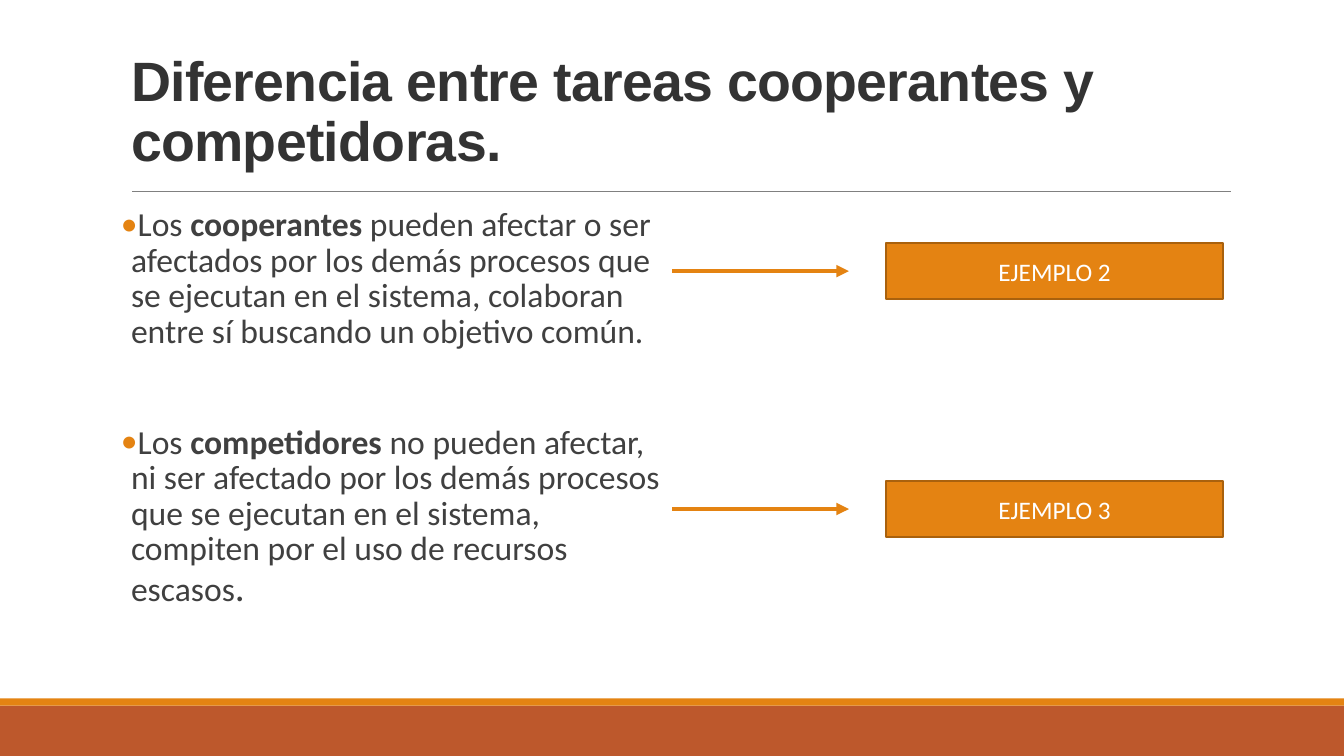
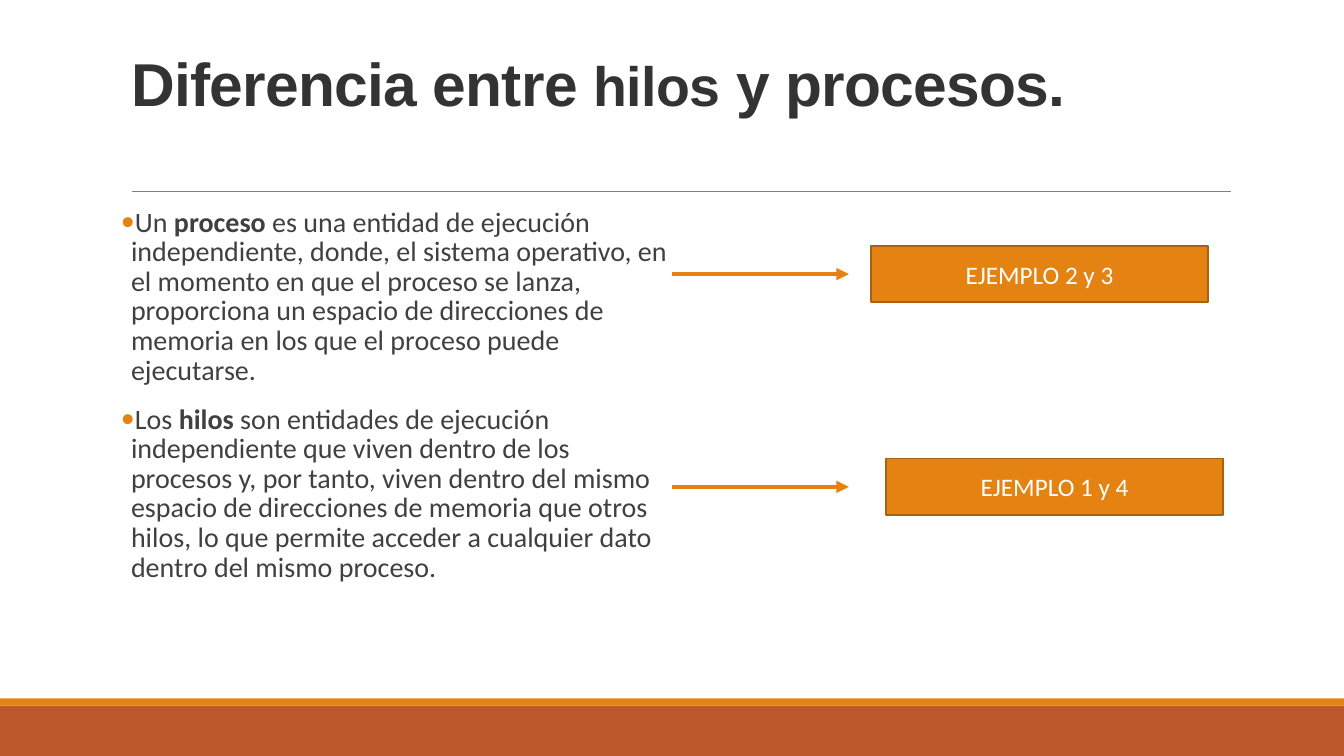
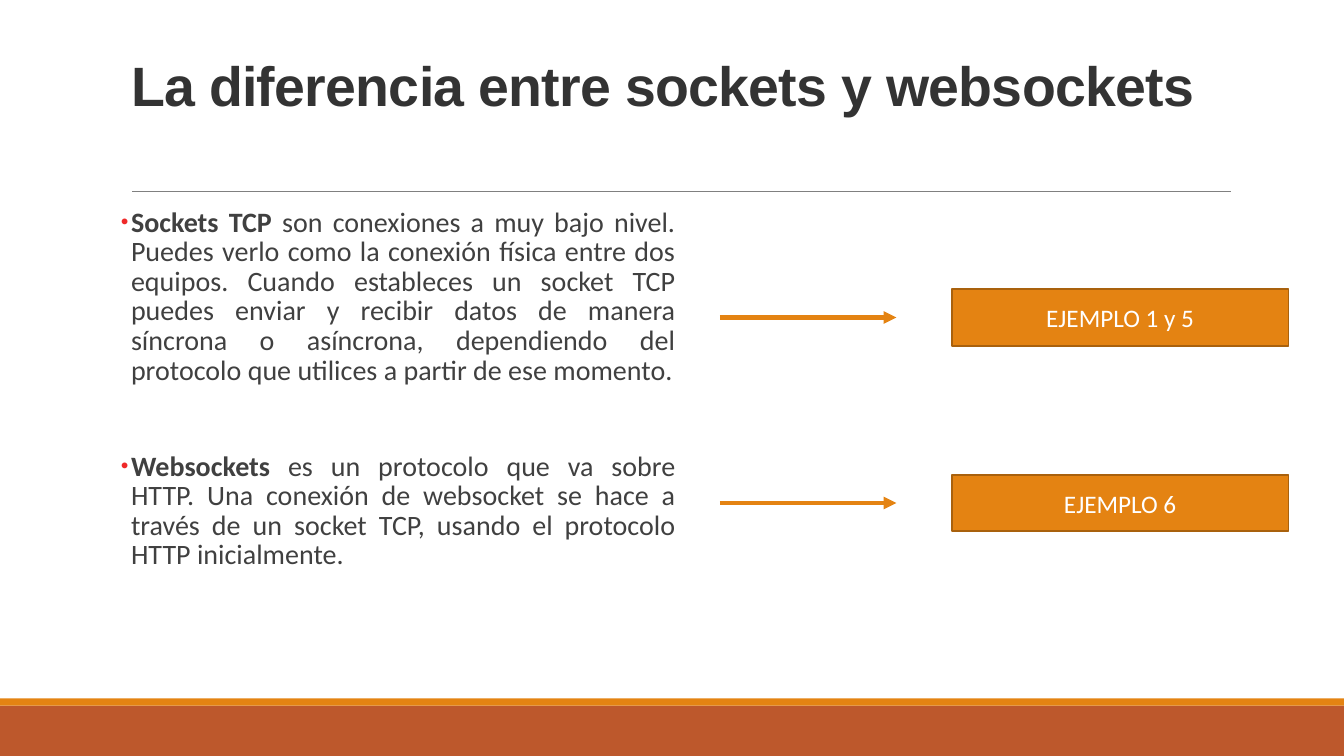
from lxml import etree
from pptx import Presentation
from pptx.dml.color import RGBColor
from pptx.enum import shapes, text
from pptx.oxml.ns import qn
from pptx.util import Inches, Pt

ORANGE = "E48312"
RUST = "BD582C"
BOX_BORDER = "A9610D"
RULE_GRAY = "808080"
TITLE_COLOR = "333333"
BODY_COLOR = "404040"
BULLET_RED = "EF2929"
WHITE = "FFFFFF"

MARGIN = 1.2
BOX_WIDTH, BOX_HEIGHT = 3.34, 0.56
ARROW_LENGTH = 1.75


def color(hex_value):
    return RGBColor.from_string(hex_value)


def add_run(paragraph, words, size, font_name, hex_value, bold=False):
    run = paragraph.add_run()
    run.text = words
    run.font.size = Pt(size)
    run.font.name = font_name
    run.font.bold = bold
    run.font.color.rgb = color(hex_value)


def add_rectangle(slide, left, top, width, height, fill, border=None):
    shape = slide.shapes.add_shape(
        shapes.MSO_SHAPE.RECTANGLE,
        Inches(left), Inches(top), Inches(width), Inches(height))
    shape.shadow.inherit = False
    shape.fill.solid()
    shape.fill.fore_color.rgb = color(fill)
    if border:
        shape.line.color.rgb = color(border)
        shape.line.width = Pt(1.25)
    else:
        shape.line.fill.background()
    return shape


def add_line(slide, left, right, y, hex_value, width, arrow=False):
    """Draw a horizontal line, with an arrowhead on the right if asked."""
    line = slide.shapes.add_connector(
        shapes.MSO_CONNECTOR.STRAIGHT,
        Inches(left), Inches(y), Inches(right), Inches(y))
    line.line.color.rgb = color(hex_value)
    line.line.width = Pt(width)
    properties = line.element.find(qn("p:spPr"))
    if arrow:
        etree.SubElement(properties.find(qn("a:ln")), qn("a:tailEnd"), type="triangle")
    etree.SubElement(properties, qn("a:effectLst"))
    return line


def decorate_layout(layout, slide):
    """Draw the bands and the title rule on a slide, then move them to its layout."""
    decorations = [
        add_rectangle(slide, 0, 7, 13.33, 0.5, RUST),
        add_rectangle(slide, 0, 6.93, 13.33, 0.07, ORANGE),
        add_line(slide, 1.31, 12.21, 1.9, RULE_GRAY, 0.5),
    ]
    for decoration in decorations:
        layout.shapes.element.append(decoration.element)


def set_title(slide, top, runs):
    title = slide.shapes.title
    title.left, title.top = Inches(MARGIN), Inches(top)
    title.width, title.height = Inches(11), Inches(1.35)
    frame = title.text_frame
    frame.word_wrap = True
    frame.auto_size = text.MSO_AUTO_SIZE.NONE
    frame.vertical_anchor = text.MSO_ANCHOR.TOP
    paragraph = frame.paragraphs[0]
    paragraph.alignment = text.PP_ALIGN.LEFT
    paragraph.line_spacing = 0.9
    for words, size in runs:
        add_run(paragraph, words, size, "Arial", TITLE_COLOR, bold=True)
    for properties in title.element.iter(qn("a:rPr")):
        properties.set("spc", "-50")


def add_bullet(paragraph_element, character, hex_value, percent):
    properties = paragraph_element.get_or_add_pPr()
    properties.set("marL", str(Inches(0.1)))
    properties.set("indent", str(Inches(-0.1)))
    bullet_color = etree.SubElement(properties, qn("a:buClr"))
    etree.SubElement(bullet_color, qn("a:srgbClr"), val=hex_value)
    etree.SubElement(properties, qn("a:buSzPct"), val=str(percent * 1000))
    etree.SubElement(properties, qn("a:buFont"), typeface="Calibri")
    etree.SubElement(properties, qn("a:buChar"), char=character)


def add_body(slide, paragraphs, size, gap, bullet=("•", ORANGE, 100),
             alignment=text.PP_ALIGN.LEFT):
    """Add bulleted paragraphs of (words, bold[, size]) runs, gap points apart."""
    body = slide.shapes.add_textbox(
        Inches(MARGIN), Inches(2.02), Inches(5.5), Inches(4.4))
    frame = body.text_frame
    frame.word_wrap = True
    frame.margin_left = frame.margin_right = 0
    for index, runs in enumerate(paragraphs):
        paragraph = frame.add_paragraph() if index else frame.paragraphs[0]
        paragraph.alignment = alignment
        paragraph.line_spacing = 0.88
        paragraph.space_before = Pt(gap if index else 0)
        paragraph.space_after = Pt(0)
        for words, bold, *own_size in runs:
            add_run(paragraph, words, own_size[0] if own_size else size,
                    "Calibri", BODY_COLOR, bold)
    for element in body.element.iter(qn("a:p")):
        add_bullet(element, *bullet)


def add_example(slide, label, arrow_left, box_left, box_top):
    """Add a labelled box and the arrow that points at its middle."""
    add_line(slide, arrow_left, arrow_left + ARROW_LENGTH, box_top + BOX_HEIGHT / 2,
             ORANGE, 3, arrow=True)
    box = add_rectangle(slide, box_left, box_top, BOX_WIDTH, BOX_HEIGHT,
                        ORANGE, BOX_BORDER)
    box.text_frame.vertical_anchor = text.MSO_ANCHOR.MIDDLE
    paragraph = box.text_frame.paragraphs[0]
    paragraph.alignment = text.PP_ALIGN.CENTER
    add_run(paragraph, label, 18, "Calibri", WHITE)


def build_tasks(slide):
    set_title(slide, 0.48, [("Diferencia entre tareas cooperantes y competidoras.", 39.6)])
    add_body(slide, [
        [("Los ", False), ("cooperantes ", True),
         ("pueden afectar o ser afectados por los demás procesos que se ejecutan en el "
          "sistema, colaboran entre sí buscando un objetivo común.", False)],
        [("Los ", False), ("competidores", True),
         (" no pueden afectar, ni ser afectado por los demás procesos que se ejecutan en "
          "el sistema, compiten por el uso de recursos escasos", False),
         (".", False, 28)],
    ], size=24, gap=54)
    add_example(slide, "EJEMPLO 2", 6.67, 8.79, 2.41)
    add_example(slide, "EJEMPLO 3", 6.67, 8.79, 4.77)


def build_threads(slide):
    set_title(slide, 0.49, [("Diferencia entre ", 43.2), ("hilos", 39.6),
                            (" y procesos.", 43.2)])
    add_body(slide, [
        [("Un ", False), ("proceso", True),
         (" es una entidad de ejecución independiente, donde, el sistema operativo, en el "
          "momento en que el proceso se lanza, proporciona un espacio de direcciones de "
          "memoria en los que el proceso puede ejecutarse.", False)],
        [("Los ", False), ("hilos", True),
         (" son entidades de ejecución independiente que viven dentro de los procesos y, "
          "por tanto, viven dentro del mismo espacio de direcciones de memoria que otros "
          "hilos, lo que permite acceder a cualquier dato dentro del mismo proceso.", False)],
    ], size=20, gap=14)
    add_example(slide, "EJEMPLO 2 y 3", 6.67, 8.64, 2.44)
    add_example(slide, "EJEMPLO 1 y 4", 6.67, 8.79, 4.55)


def build_sockets(slide):
    set_title(slide, 0.53, [("La diferencia entre sockets y websockets", 39.6)])
    add_body(slide, [
        [("Sockets TCP", True),
         (" son conexiones a muy bajo nivel. Puedes verlo como la conexión física entre "
          "dos equipos. Cuando estableces un socket TCP puedes enviar y recibir datos de "
          "manera síncrona o asíncrona, dependiendo del protocolo que utilices a partir "
          "de ese momento.", False)],
        [("Websockets ", True),
         ("es un protocolo que va sobre HTTP. Una conexión de websocket se hace a través "
          "de un socket TCP, usando el protocolo HTTP inicialmente.", False)],
    ], size=20, gap=47.5, bullet=("●", BULLET_RED, 45), alignment=text.PP_ALIGN.JUSTIFY)
    add_example(slide, "EJEMPLO 1 y 5", 7.14, 9.44, 2.87)
    add_example(slide, "EJEMPLO 6", 7.14, 9.44, 4.71)


def main():
    presentation = Presentation()
    presentation.slide_width = Inches(13.33)
    presentation.slide_height = Inches(7.5)
    layout = presentation.slide_layouts.get_by_name("Title Only")
    for index, build in enumerate((build_tasks, build_threads, build_sockets)):
        slide = presentation.slides.add_slide(layout)
        if index == 0:
            decorate_layout(layout, slide)
        build(slide)
    presentation.save("out.pptx")


if __name__ == "__main__":
    main()
